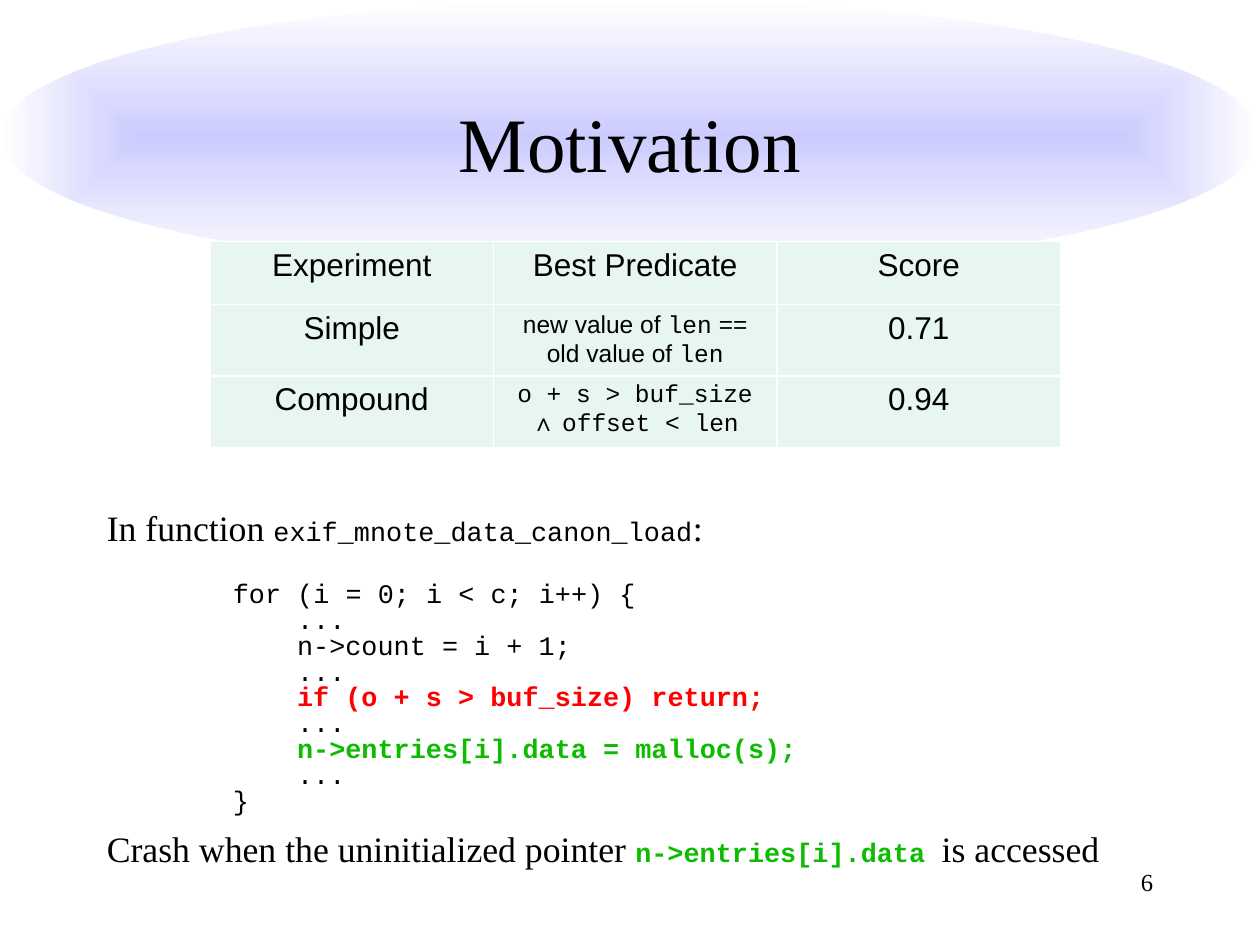
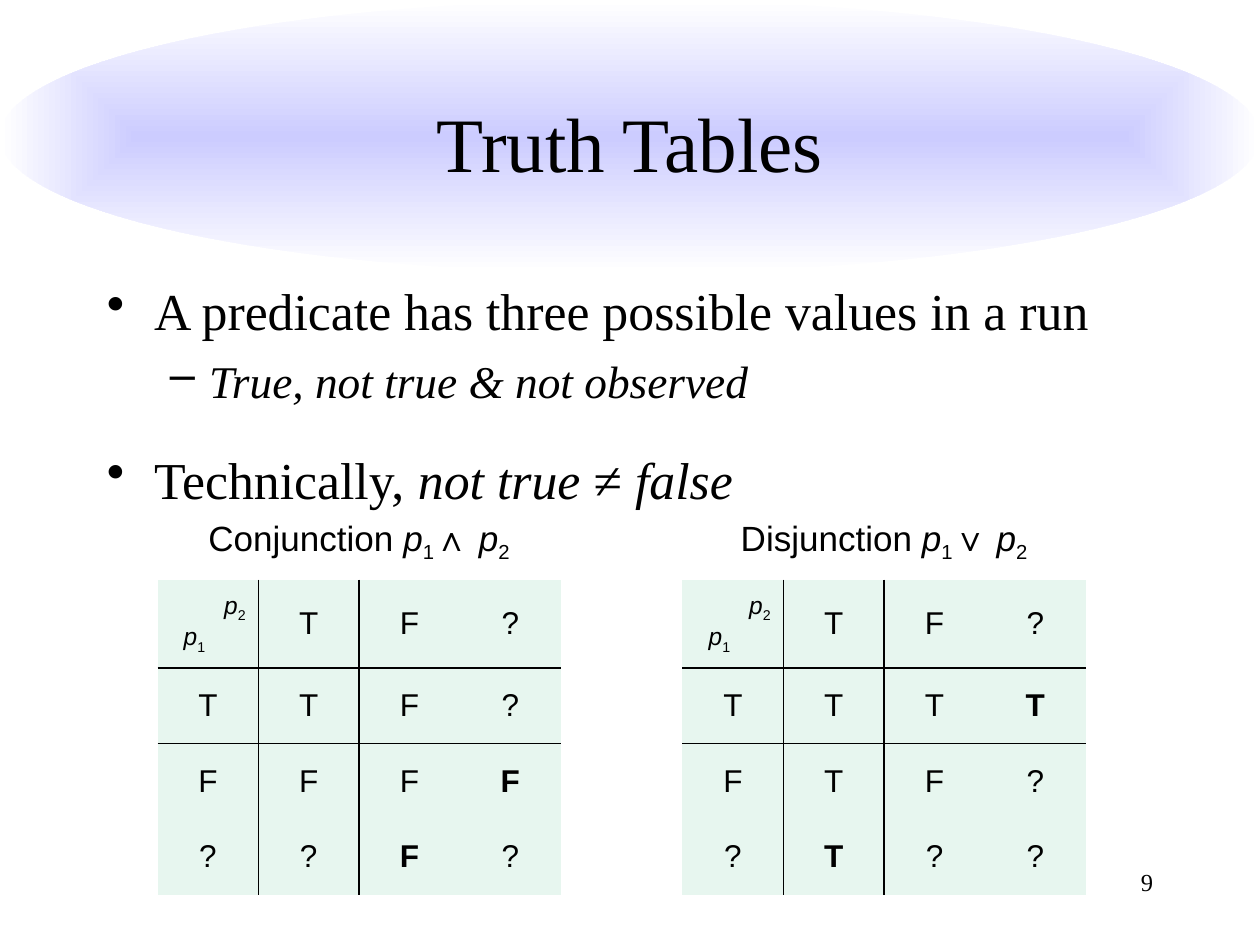
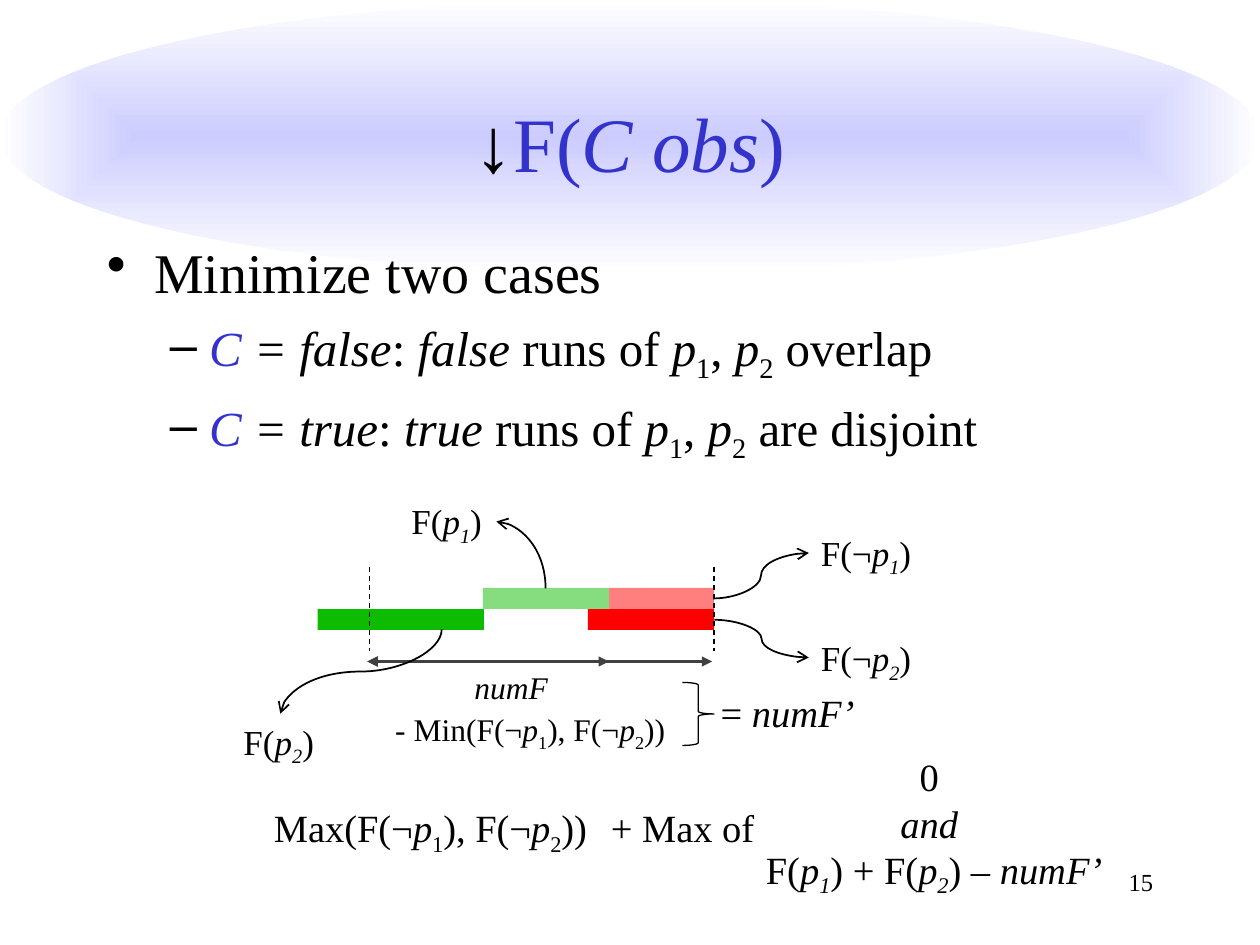
from dataclasses import dataclass

import pptx
import pptx.dml.color
import pptx.enum.dml
import pptx.enum.shapes
import pptx.enum.text
import pptx.oxml.ns
import pptx.util
from lxml import etree

Pt = pptx.util.Pt
qn = pptx.oxml.ns.qn
SHAPE = pptx.enum.shapes.MSO_SHAPE
CONNECTOR = pptx.enum.shapes.MSO_CONNECTOR
ANCHOR = pptx.enum.text.MSO_ANCHOR
ALIGN = pptx.enum.text.PP_ALIGN

COLORS = {
    "ink": "000000", "paper": "FFFFFF", "glow": "CCCCFF", "cell": "E7F6EF",
    "accent": "3333CC", "true": "0DBC00", "false": "FF0000", "span": "404040",
}
SERIF, SANS, MONO = "Times New Roman", "Arial", "Courier New"


@dataclass(frozen=True)
class Box:
    left: float
    top: float
    width: float
    height: float

    def points(self) -> tuple:
        return Pt(self.left), Pt(self.top), Pt(self.width), Pt(self.height)


@dataclass(frozen=True)
class Bar:
    box: Box
    color: str
    opacity: int = 100


@dataclass(frozen=True)
class Line:
    start: tuple
    end: tuple
    color: str = "ink"
    width: float = 1
    head: str = ""
    tail: str = ""
    dashed: bool = False
    preset: str = "line"
    turn: int = 0


@dataclass(frozen=True)
class Label:
    text: str
    box: Box
    size: float
    align: ALIGN = ALIGN.LEFT
    wrap: bool = True


@dataclass(frozen=True)
class TruthTable:
    left: float
    name: str
    operator: str
    operator_font: str
    values: tuple
    bold: tuple


# Text
def rgb(name: str) -> pptx.dml.color.RGBColor:
    return pptx.dml.color.RGBColor.from_string(COLORS[name])


def write(paragraph, text: str, *, size: float, font: str = SERIF,
          color: str = "ink", bold: bool = False) -> None:
    """Add text to a paragraph: *...* is italic and ~...~ is subscript."""
    for i, part in enumerate(text.split("*")):
        for j, piece in enumerate(part.split("~")):
            if not piece:
                continue
            run = paragraph.add_run()
            run.text = piece
            run.font.size, run.font.name = Pt(size), font
            run.font.bold, run.font.italic = bold, i % 2 == 1
            run.font.color.rgb = rgb(color)
            if j % 2:
                run.font._element.set("baseline", "-25000")


def add_paragraph(frame, align: ALIGN = ALIGN.LEFT, before: float = 0, spacing: float = 1,
                  margin: float = 0, indent: float = 0, bullet: str = ""):
    last = frame.paragraphs[-1]
    paragraph = frame.add_paragraph() if last.runs else last
    paragraph.alignment = align
    paragraph.line_spacing, paragraph.space_before = spacing, Pt(before)
    properties = paragraph._p.get_or_add_pPr()
    properties.set("marL", str(Pt(margin)))
    properties.set("indent", str(Pt(indent)))
    if bullet:
        etree.SubElement(properties, qn("a:buChar")).set("char", bullet)
    return paragraph


def add_bullet(frame, level: int, before: float):
    margin, indent, mark = ((27, -27, "•"), (58.5, -22.5, "–"))[level]
    return add_paragraph(frame, before=before, margin=margin, indent=indent, bullet=mark)


def add_frame(slide, box: Box, wrap: bool = True):
    frame = slide.shapes.add_textbox(*box.points()).text_frame
    frame.word_wrap = wrap
    return frame


def add_label(slide, label: Label) -> None:
    frame = add_frame(slide, label.box, label.wrap)
    for line in label.text.split("\n"):
        write(add_paragraph(frame, label.align), line, size=label.size)


# Shapes and lines
def add_plain_shape(slide, preset: SHAPE, box: Box):
    shape = slide.shapes.add_shape(preset, *box.points())
    shape.shadow.inherit = False
    shape.fill.background()
    shape.line.fill.background()
    return shape


def add_bar(slide, bar: Bar) -> None:
    shape = add_plain_shape(slide, SHAPE.RECTANGLE, bar.box)
    shape.fill.solid()
    shape.fill.fore_color.rgb = rgb(bar.color)
    if bar.opacity < 100:
        color = shape.element.spPr.find(qn("a:solidFill")).find(qn("a:srgbClr"))
        etree.SubElement(color, qn("a:alpha")).set("val", str(bar.opacity * 1000))


def add_line(slide, line: Line) -> None:
    ends = [Pt(value) for value in (*line.start, *line.end)]
    connector = slide.shapes.add_connector(CONNECTOR.STRAIGHT, *ends)
    connector.line.color.rgb = rgb(line.color)
    connector.line.width = Pt(line.width)
    if line.dashed:
        connector.line.dash_style = pptx.enum.dml.MSO_LINE.DASH
    properties = connector.element.spPr
    properties.find(qn("a:prstGeom")).set("prst", line.preset)
    if line.turn:
        properties.find(qn("a:xfrm")).set("rot", str(line.turn * 60000))
    stroke = properties.find(qn("a:ln"))
    for tag, arrow in (("a:headEnd", line.head), ("a:tailEnd", line.tail)):
        if arrow:
            etree.SubElement(stroke, qn(tag)).set("type", arrow)
    etree.SubElement(properties, qn("a:effectLst"))


# Tables
def add_grid(slide, left: float, top: float, column: float, heights: tuple, columns: int):
    box = Box(left, top, column * columns, sum(heights))
    table = slide.shapes.add_table(len(heights), columns, *box.points()).table
    table.first_row = table.horz_banding = False
    for row, height in zip(table.rows, heights):
        row.height = Pt(height)
    for table_column in table.columns:
        table_column.width = Pt(column)
    return table


def style_cell(cell, edges: dict, fill: str = "cell") -> None:
    """Edges maps L, R, T and B to a colour; a missing edge is not drawn."""
    properties = cell._tc.get_or_add_tcPr()
    for side in "LRTB":
        border = etree.SubElement(properties, qn(f"a:ln{side}"))
        border.set("w", str(Pt(1)))
        if side in edges:
            paint = etree.SubElement(border, qn("a:solidFill"))
            etree.SubElement(paint, qn("a:srgbClr")).set("val", COLORS[edges[side]])
        else:
            etree.SubElement(border, qn("a:noFill"))
    if fill:
        cell.fill.solid()
        cell.fill.fore_color.rgb = rgb(fill)
    else:
        cell.fill.background()


def add_truth_table(slide, truth: TruthTable) -> None:
    table = add_grid(slide, truth.left, 288, 57.6, (43.2, 50.4, 43.2, 43.2, 43.2), 4)
    for r in range(5):
        for c in range(4):
            cell = table.cell(r, c)
            cell.vertical_anchor = ANCHOR.MIDDLE
            if r == 0:
                style_cell(cell, {}, fill="")
                continue
            drawn = {"L": c in (1, 2), "R": c in (0, 1), "T": r in (2, 3), "B": r in (1, 2)}
            style_cell(cell, {side: "ink" for side, on in drawn.items() if on})
            if (r, c) != (1, 0):
                write(add_paragraph(cell.text_frame, ALIGN.CENTER), truth.values[r - 1][c],
                      size=18, font=SANS, bold=(r, c) in truth.bold)
    # Heading across the table
    heading = table.cell(0, 0)
    heading.merge(table.cell(0, 3))
    formula = add_paragraph(heading.text_frame, ALIGN.CENTER)
    write(formula, f"{truth.name} *p*~1~", size=20, font=SANS)
    write(formula, f"{truth.operator} ", size=20, font=truth.operator_font)
    write(formula, "*p*~2~", size=20, font=SANS)
    # Corner naming both operands
    corner = table.cell(1, 0).text_frame
    write(add_paragraph(corner, ALIGN.RIGHT), "*p*~2~", size=14, font=SANS)
    write(add_paragraph(corner, margin=7.8), "*p*~1~", size=14, font=SANS)


# Parts shared by all slides
def add_backdrop(layout, slide) -> None:
    """Draw the glowing ellipse once and keep it on the layout."""
    ellipse = add_plain_shape(slide, SHAPE.OVAL, Box(0, 0, 720, 156))
    ellipse.fill.gradient()
    glow = ellipse.element.spPr.find(qn("a:gradFill"))
    for child in list(glow):
        glow.remove(child)
    stops = etree.SubElement(glow, qn("a:gsLst"))
    for position, color in ((0, "glow"), (100000, "paper")):
        stop = etree.SubElement(stops, qn("a:gs"))
        stop.set("pos", str(position))
        etree.SubElement(stop, qn("a:srgbClr")).set("val", COLORS[color])
    route = etree.SubElement(glow, qn("a:path"))
    route.set("path", "shape")
    center = etree.SubElement(route, qn("a:fillToRect"))
    for side in "ltrb":
        center.set(side, "50000")
    layout.shapes.element.insert(2, ellipse.element)


def start_slide(deck, number: str, *title_parts: tuple):
    slide = deck.slides.add_slide(deck.slide_layouts[5])
    title = slide.shapes.title
    title.left, title.top, title.width, title.height = Box(54, 36, 612, 90).points()
    title.text_frame.vertical_anchor = ANCHOR.MIDDLE
    heading = add_paragraph(title.text_frame, ALIGN.CENTER)
    for text, color in title_parts:
        write(heading, text, size=44, color=color)
    add_label(slide, Label(number, Box(516, 492, 150, 36), 14, ALIGN.RIGHT))
    return slide


# Slide: motivation
def build_motivation(deck) -> None:
    slide = start_slide(deck, "6", ("Motivation", "ink"))
    add_backdrop(deck.slide_layouts[5], slide)

    scores = add_grid(slide, 120, 138, 162, (36, 36, 36), 3)
    rows = (("Experiment", "Best Predicate", "Score"),
            ("Simple", "", "0.71"), ("Compound", "", "0.94"))
    for r, row in enumerate(rows):
        for c, text in enumerate(row):
            style_cell(scores.cell(r, c), dict.fromkeys("LRTB", "paper"))
            write(add_paragraph(scores.cell(r, c).text_frame, ALIGN.CENTER), text,
                  size=18, font=SANS)
    predicates = (
        (1, ((("new value of ", SANS), ("len", MONO), (" == old value of ", SANS),
              ("len", MONO)),)),
        (2, ((("o + s > buf_size", MONO),), (("∧ ", SERIF), ("offset < len", MONO)))),
    )
    for r, lines in predicates:
        for line in lines:
            predicate = add_paragraph(scores.cell(r, 1).text_frame, ALIGN.CENTER)
            for text, font in line:
                write(predicate, text, size=14, font=font)

    prose, code = {"size": 20.4}, {"size": 15.3, "font": MONO}
    frame = add_frame(slide, Box(54, 294, 612, 222))
    intro = add_paragraph(frame, before=4, spacing=0.6, margin=27, indent=-27)
    write(intro, "In function ", **prose)
    write(intro, "exif_mnote_data_canon_load", **code)
    write(intro, ":", **prose)
    listing = (
        (0, "for (i = 0; i < c; i++) {", "ink"), (1, "...", "ink"),
        (1, "n->count = i + 1;", "ink"), (1, "...", "ink"),
        (1, "if (o + s > buf_size) return;", "false"), (1, "...", "ink"),
        (1, "n->entries[i].data = malloc(s);", "true"), (1, "...", "ink"),
        (0, "}", "ink"),
    )
    for i, (depth, statement, color) in enumerate(listing):
        line = add_paragraph(frame, before=3.7 if i else 24, spacing=0.6,
                             margin=72 + 36.7 * depth)
        write(line, statement, color=color, bold=color != "ink", **code)
    crash = add_paragraph(frame, before=16, spacing=0.6, margin=27, indent=-27)
    write(crash, "Crash when the uninitialized pointer ", **prose)
    write(crash, "n->entries[i].data ", color="true", bold=True, **code)
    write(crash, "is accessed", **prose)


# Slide: truth tables
def build_truth_tables(deck) -> None:
    slide = start_slide(deck, "9", ("Truth Tables", "ink"))
    points = add_frame(slide, Box(54, 156, 612, 126))
    for level, before, size, text in (
        (0, 3, 29.6, "A predicate has three possible values in a run"),
        (1, 6.5, 25.9, "*True, not true & not observed*"),
        (0, 23, 29.6, "Technically, *not true *≠ *false*"),
    ):
        write(add_bullet(points, level, before), text, size=size)
    for truth in (
        TruthTable(90, "Conjunction", "∧", SANS, (" TF?", "TTF?", "FFFF", "??F?"),
                   ((3, 3), (4, 2))),
        TruthTable(390, "Disjunction", "∨", SERIF, (" TF?", "TTTT", "FTF?", "?T??"),
                   ((2, 3), (4, 1))),
    ):
        add_truth_table(slide, truth)


# Slide: lower bound of F(C obs)
def build_lower_bound(deck) -> None:
    slide = start_slide(deck, "15", ("↓", "ink"), ("F(*C obs*)", "accent"))
    points = add_frame(slide, Box(54, 132, 612, 144))
    write(add_bullet(points, 0, 3), "Minimize two cases", size=32)
    for outcome, text in (
        ("* = false*", ": *false* runs of *p*~1~, *p*~2~ overlap"),
        ("* = true*", ": *true *runs of *p*~1~, *p*~2~ are disjoint"),
    ):
        case = add_bullet(points, 1, 7.5)
        # The bullet follows the first run's colour unless it is set
        bullet_color = etree.Element(qn("a:buClr"))
        etree.SubElement(bullet_color, qn("a:srgbClr")).set("val", COLORS["ink"])
        case._p.pPr.find(qn("a:buChar")).addprevious(bullet_color)
        write(case, "*C*", size=28, color="accent")
        write(case, outcome + text, size=28)

    # Runs of each predicate
    for bar in (
        Bar(Box(276, 336, 72, 12), "true", 50),
        Bar(Box(348, 336, 60, 12), "false", 50),
        Bar(Box(181.5, 348, 95, 12), "true"),
        Bar(Box(336, 348, 72, 12), "false"),
    ):
        add_bar(slide, bar)

    # Limits, spans and pointers to the labels
    limits = [Line((x, 324), (x, 372), width=0.75, dashed=True) for x in (211, 408)]
    spans = [Line((210, 378), (x, 378), "span", 1.75, "triangle", "triangle")
             for x in (407, 348)]
    pointers = [
        Line(start, end, tail="arrow", preset=preset, turn=turn)
        for start, end, preset, turn in (
            ((278.6, 331.2), (316.8, 303.1), "curvedConnector2", 270),
            ((182.2, 337.7), (230.4, 429.9), "curvedConnector3", 90),
            ((407.5, 342), (462.2, 316), "curvedConnector3", 0),
            ((408.2, 354.2), (462.2, 375.8), "curvedConnector3", 0),
        )
    ]
    for line in limits + spans + pointers:
        add_line(slide, line)

    brace = add_plain_shape(slide, SHAPE.RIGHT_BRACE, Box(390, 390, 18, 36))
    brace.line.color.rgb = rgb("ink")
    brace.line.width = Pt(0.75)

    # Labels and formulas
    negated = "(F(¬*p*~1~), F(¬*p*~2~))"
    for label in (
        Label("F(*p~1~*)", Box(228, 282, 56, 32), 20, wrap=False),
        Label("F(*p~2~*)", Box(132, 408, 56, 32), 20, wrap=False),
        Label("F(¬*p~1~*)", Box(462, 300, 67, 32), 20, wrap=False),
        Label("F(¬*p~2~*)", Box(462, 360, 67, 32), 20, wrap=False),
        Label("*numF*", Box(264, 378, 80, 29), 18),
        Label(f"*- *Min{negated}", Box(216, 402, 174, 29), 18, ALIGN.CENTER),
        Label("= *numF’*", Box(402, 390, 96, 34), 22, ALIGN.CENTER),
        Label(f"Max{negated}", Box(144, 456, 204, 55), 22, ALIGN.CENTER),
        Label("+ Max of", Box(342, 456, 114, 34), 22),
        Label("0\n*and*\n F(*p~1~*) + F(*p~2~*) – *numF’*", Box(414, 427, 234, 109),
              22, ALIGN.CENTER),
    ):
        add_label(slide, label)


def main() -> None:
    deck = pptx.Presentation()
    deck.slide_width, deck.slide_height = Pt(720), Pt(540)
    build_motivation(deck)
    build_truth_tables(deck)
    build_lower_bound(deck)
    deck.save("out.pptx")


if __name__ == "__main__":
    main()
